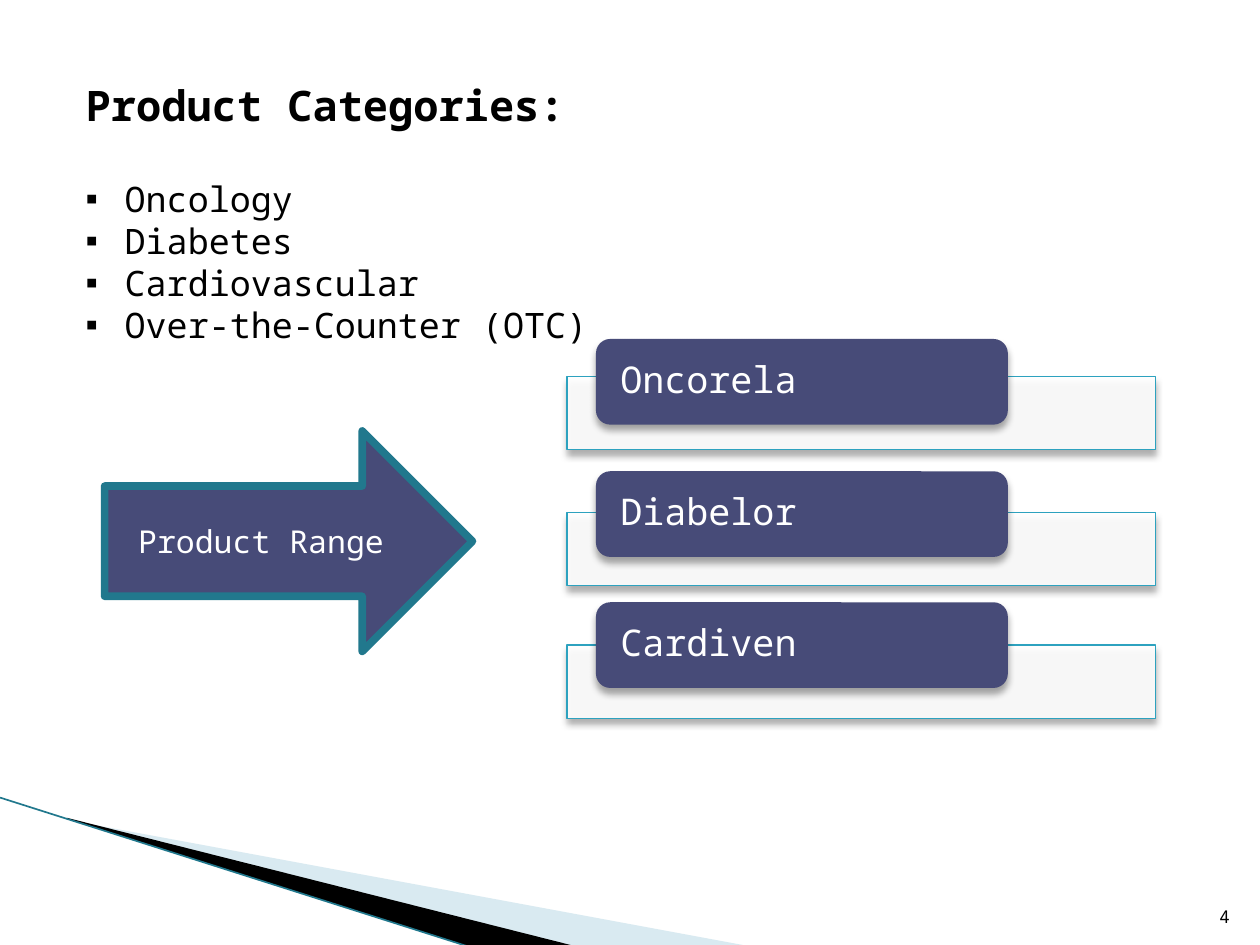
from lxml import etree
from pptx import Presentation
from pptx.dml.color import RGBColor
from pptx.enum.shapes import MSO_CONNECTOR, MSO_SHAPE
from pptx.enum.text import MSO_ANCHOR, MSO_AUTO_SIZE, PP_ALIGN
from pptx.oxml.ns import qn
from pptx.util import Inches, Pt

BLACK = RGBColor(0x00, 0x00, 0x00)
WHITE = RGBColor(0xFF, 0xFF, 0xFF)
NAVY = RGBColor(0x47, 0x4B, 0x78)
TEAL = RGBColor(0x21, 0x78, 0x8D)
BRIGHT_TEAL = RGBColor(0x2D, 0xA2, 0xBF)
PALE_BLUE = RGBColor(0xA0, 0xCB, 0xDC)

FONT = "Noto Sans Mono"
RECTANGLE, ROUNDED = MSO_SHAPE.RECTANGLE, MSO_SHAPE.ROUNDED_RECTANGLE
RIGHT_ARROW = MSO_SHAPE.RIGHT_ARROW
STRAIGHT = MSO_CONNECTOR.STRAIGHT
TOP, MIDDLE, BOTTOM = MSO_ANCHOR.TOP, MSO_ANCHOR.MIDDLE, MSO_ANCHOR.BOTTOM
LEFT, CENTER, RIGHT = PP_ALIGN.LEFT, PP_ALIGN.CENTER, PP_ALIGN.RIGHT
NO_AUTOFIT = MSO_AUTO_SIZE.NONE

CATEGORIES = ["Oncology", "Diabetes", "Cardiovascular", "Over-the-Counter (OTC)"]
# Product name, top of its tab, top of its bar
PRODUCTS = [("Oncorela", 2.69, 2.99), ("Diabelor", 3.74, 4.07), ("Cardiven", 4.78, 5.12)]


def add_element(parent, tag, **values):
    return etree.SubElement(parent, qn(tag), {key: str(value) for key, value in values.items()})


def set_values(target, values):
    for name, value in values.items():
        setattr(target, name, value)


def write_text(shape, lines, size, color, align=LEFT, anchor=MIDDLE, bold=False, bullet=None):
    frame = shape.text_frame
    set_values(frame, {"word_wrap": True, "auto_size": NO_AUTOFIT, "vertical_anchor": anchor})
    frame.text = "\n".join(lines)
    for para in frame.paragraphs:
        if bullet:
            properties = para._p.get_or_add_pPr()
            properties.set("marL", str(Inches(0.31)))
            properties.set("indent", str(-Inches(0.31)))
            add_element(properties, "a:buChar", char=bullet)
        set_values(para, {"alignment": align, "space_before": Pt(0)})
        set_values(para.font, {"name": FONT, "size": Pt(size), "bold": bold})
        para.font.color.rgb = color


def paint(shape, fill, opacity=100, line=None, width=0):
    shape.shadow.inherit = False
    shape.fill.solid()
    shape.fill.fore_color.rgb = fill
    if opacity < 100:
        color = shape._element.spPr.find(qn("a:solidFill"))[0]
        add_element(color, "a:alpha", val=opacity * 1000)
    if line is None:
        shape.line.fill.background()
    else:
        shape.line.color.rgb = line
        shape.line.width = Pt(width)


def add_shadow(shape):
    effects = shape._element.spPr.find(qn("a:effectLst"))
    shadow = add_element(effects, "a:outerShdw", blurRad=Pt(4), dist=Pt(3),
                         dir=90 * 60000, rotWithShape=0)
    color = add_element(shadow, "a:srgbClr", val=BLACK)
    add_element(color, "a:alpha", val=35000)


def place(shape, left, top, width, height):
    set_values(shape, {"left": Inches(left), "top": Inches(top),
                       "width": Inches(width), "height": Inches(height)})


def add_wedge(page, points, fill, opacity=100):
    corners = [(Inches(x), Inches(y)) for x, y in points]
    builder = page.shapes.build_freeform(*corners[0], scale=1.0)
    builder.add_line_segments(corners[1:], close=True)
    paint(builder.convert_to_shape(), fill, opacity)


def add_corner_decoration(page, left, top, right, bottom):
    add_wedge(page, [(left + 0.55, top + 0.18), (right, bottom), (4.56, bottom),
                     (left + 0.55, top + 0.17)], PALE_BLUE, 40)
    add_wedge(page, [(left + 0.53, top + 0.16), (4.57, bottom), (3.72, bottom),
                     (left + 0.54, top + 0.17)], BLACK)
    edge = page.shapes.add_connector(STRAIGHT, Inches(left), Inches(top),
                                     Inches(3.71), Inches(bottom))
    edge.line.color.rgb = TEAL
    edge.line.width = Pt(0.95)
    add_element(edge._element.spPr, "a:effectLst")


def add_categories(page, left, top, width, height):
    title, body = page.shapes.title, page.placeholders[1]
    title_step = 0.78
    place(title, left, top, width, title_step)
    write_text(title, ["Product Categories:"], 24, BLACK, anchor=TOP, bold=True)
    place(body, left, top + title_step, width, height - title_step)
    write_text(body, CATEGORIES, 20, BLACK, anchor=TOP, bullet="▪")


def add_range_arrow(page, left, top, width, height):
    arrow = page.shapes.add_shape(RIGHT_ARROW, 0, 0, 0, 0)
    place(arrow, left, top, width, height)
    paint(arrow, NAVY, line=TEAL, width=4.33)
    write_text(arrow, ["Product Range"], 18, WHITE, CENTER)


def add_product_list(page, left, width):
    for name, tab_top, bar_top in PRODUCTS:
        # Pale bar behind
        bar = page.shapes.add_shape(RECTANGLE, 0, 0, 0, 0)
        place(bar, left, bar_top, width, 0.58)
        paint(bar, WHITE, 90, BRIGHT_TEAL, 0.75)
        add_shadow(bar)
        # Named tab in front
        tab = page.shapes.add_shape(ROUNDED, 0, 0, 0, 0)
        place(tab, left + 0.23, tab_top, width * 0.7, 0.68)
        paint(tab, NAVY)
        add_shadow(tab)
        write_text(tab, [name], 21, WHITE)
        set_values(tab.text_frame, {"margin_left": Inches(0.16), "margin_right": Inches(0.16),
                                    "margin_top": 0, "margin_bottom": 0})
        tab.text_frame.paragraphs[0].line_spacing = 0.9


def add_page_number(page, left, top, width, height):
    box = page.shapes.add_textbox(0, 0, 0, 0)
    place(box, left, top, width, height)
    write_text(box, ["4"], 10, BLACK, RIGHT, BOTTOM)


def main():
    deck = Presentation()
    deck.slide_width, deck.slide_height = Inches(10), Inches(7.5)
    page = deck.slides.add_slide(deck.slide_layouts[1])
    add_corner_decoration(page, 0, 6.33, 5.95, 7.51)
    add_categories(page, 0.58, 0.58, 5, 2.56)
    add_range_arrow(page, 0.83, 3.42, 2.92, 1.75)
    add_product_list(page, 4.5, 4.67)
    add_page_number(page, 9.46, 7.01, 0.4, 0.4)
    deck.save("out.pptx")


if __name__ == "__main__":
    main()
